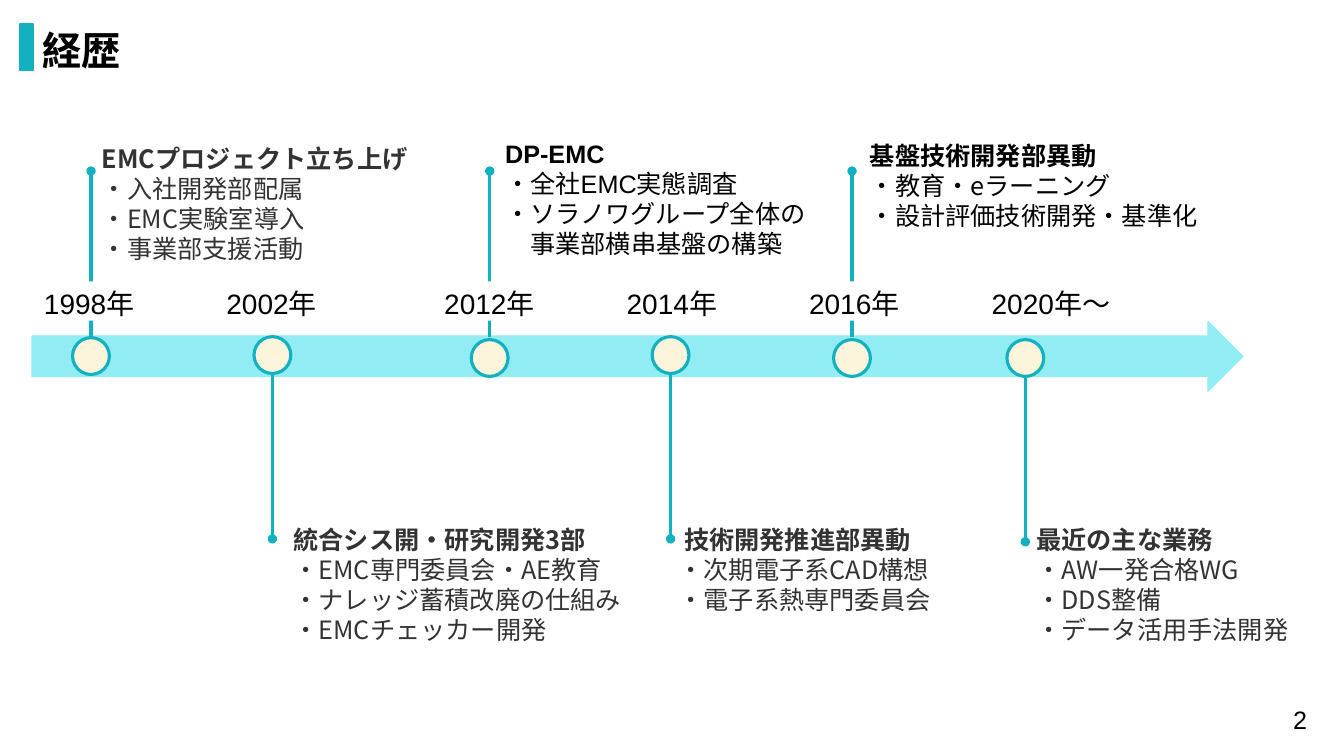
from collections import namedtuple

from lxml import etree
from pptx import Presentation
from pptx.dml import color
from pptx.enum import shapes, text
from pptx.oxml import ns
from pptx.util import Pt

TEAL = color.RGBColor(0x13, 0xB1, 0xC0)
AQUA = color.RGBColor(0x92, 0xEC, 0xF4)
CREAM = color.RGBColor(0xFC, 0xF4, 0xDB)
WHITE = color.RGBColor(0xFF, 0xFF, 0xFF)
BLACK = color.RGBColor(0, 0, 0)
GRAY = color.RGBColor(0x33, 0x33, 0x33)
SANS = "Arial"
CJK = "Noto Sans CJK JP"
DOT = 26.3
YEAR_TOP, YEAR_HEIGHT = 201, 28
STEM_LENGTH = 118.8

Milestone = namedtuple(
    "Milestone", "x dot_top year year_left year_width above note_box font ink lines indents")

MILESTONES = [
    Milestone(65, 241.2, "1998年", 18.7, 90, True, (67, 98.6, 256.3, 88), CJK, GRAY,
              ["EMCプロジェクト立ち上げ", "・入社開発部配属", "・EMC実験室導入", "・事業部支援活動"], {}),
    Milestone(194.6, 240.5, "2002年", 149, 90, False, (203.8, 370.8, 272.9, 88), CJK, GRAY,
              ["統合シス開・研究開発3部", "・EMC専門委員会・AE教育", "・ナレッジ蓄積改廃の仕組み",
               "・EMCチェッカー開発"], {}),
    Milestone(349.8, 242.6, "2012年", 304.6, 90, True, (355, 95, 231.1, 88), SANS, BLACK,
              ["DP-EMC", "・全社EMC実態調査", "・ソラノワグループ全体の", "事業部横串基盤の構築"], {3: 18}),
    Milestone(479, 240.5, "2014年", 434.9, 90, False, (478.8, 370.8, 219.6, 88), CJK, GRAY,
              ["技術開発推進部異動", "・次期電子系CAD構想", "・電子系熱専門委員会"], {0: 4}),
    Milestone(608.6, 242.6, "2016年", 565.2, 90, True, (615.6, 96.5, 305.3, 88), CJK, BLACK,
              ["基盤技術開発部異動", "・教育・eラーニング", "・設計評価技術開発・基準化"], {}),
    Milestone(732.4, 242.6, "2020年～", 689.8, 121.7, False, (734.4, 370.8, 213.1, 88), CJK, GRAY,
              ["最近の主な業務", "・AW一発合格WG", "・DDS整備", "・データ活用手法開発"], {}),
]


def add_figure(page, kind, box, fill, line=None, width=1):
    figure = page.shapes.add_shape(kind, *map(Pt, box))
    figure.shadow.inherit = False
    figure.fill.solid()
    figure.fill.fore_color.rgb = fill
    if line is None:
        figure.line.fill.background()
    else:
        figure.line.color.rgb = line
        figure.line.width = Pt(width)
    return figure


def write(shape, lines, size, font, ink, side=5.8):
    frame = shape.text_frame
    frame.word_wrap = True
    frame.margin_left = frame.margin_right = Pt(side)
    frame.margin_top, frame.margin_bottom = Pt(3.6), 0
    frame.text = "\n".join(lines)
    for para in frame.paragraphs:
        for span in para.runs:
            span.font.size = Pt(size)
            span.font.name = font
            span.font.color.rgb = ink
            east_asian = etree.SubElement(span.font._element, ns.qn("a:ea"))
            east_asian.set("typeface", font)
    return frame


def add_text(page, box, lines, size, font, ink, side=5.8):
    return write(page.shapes.add_textbox(*map(Pt, box)), lines, size, font, ink, side)


def add_header(page, box):
    left, top, width, height = box
    frame = add_text(page, box, ["経歴"], 28, SANS, BLACK, 7.2)
    frame.vertical_anchor = text.MSO_ANCHOR.MIDDLE
    frame.paragraphs[0].runs[0].font.bold = True
    add_figure(page, shapes.MSO_SHAPE.RECTANGLE, (left - 8.8, top + 8.6, 9.4, 33.1), TEAL, TEAL)


def add_stem(page, x, start, end):
    stem = page.shapes.add_connector(
        shapes.MSO_CONNECTOR.STRAIGHT, Pt(x), Pt(start), Pt(x), Pt(end))
    stem.line.color.rgb = TEAL
    stem.line.width = Pt(2.25)
    etree.SubElement(stem.line._get_or_add_ln(), ns.qn("a:tailEnd")).set("type", "oval")
    etree.SubElement(stem._element.spPr, ns.qn("a:effectLst"))


def add_note(page, item):
    frame = add_text(page, item.note_box, item.lines, 18, item.font, item.ink)
    for number, para in enumerate(frame.paragraphs):
        para.line_spacing = Pt(21.6)
        para.runs[0].font.bold = number == 0
        if number in item.indents:
            para._p.get_or_add_pPr().set("indent", str(Pt(item.indents[number])))


def add_milestone(page, item):
    dot_box = (item.x - DOT / 2, item.dot_top, DOT, DOT)
    add_figure(page, shapes.MSO_SHAPE.OVAL, dot_box, CREAM, TEAL, 2.25)
    if item.above:
        add_stem(page, item.x, 241, 241 - STEM_LENGTH)
    else:
        base = item.dot_top + DOT - 0.7
        add_stem(page, item.x, base, base + STEM_LENGTH)
    label = add_figure(page, shapes.MSO_SHAPE.RECTANGLE,
                       (item.year_left, YEAR_TOP, item.year_width, YEAR_HEIGHT), WHITE)
    frame = write(label, [item.year], 20, SANS, BLACK)
    frame.vertical_anchor = text.MSO_ANCHOR.MIDDLE
    frame.paragraphs[0].alignment = text.PP_ALIGN.CENTER
    add_note(page, item)


def add_timeline(page, box):
    arrow = add_figure(page, shapes.MSO_SHAPE.RIGHT_ARROW, box, AQUA, AQUA)
    arrow.adjustments[0] = 0.58
    for item in MILESTONES:
        add_milestone(page, item)


def main():
    deck = Presentation()
    deck.slide_width, deck.slide_height = Pt(960), Pt(540)
    page = deck.slides.add_slide(deck.slide_layouts[6])
    add_header(page, (23, 8.6, 862.6, 51.1))
    add_timeline(page, (23, 229.7, 864.7, 49.7))
    add_text(page, (916.6, 499.7, 43.4, 31.7), ["2"], 18, SANS, BLACK, 7.2)
    deck.save("out.pptx")


if __name__ == "__main__":
    main()
